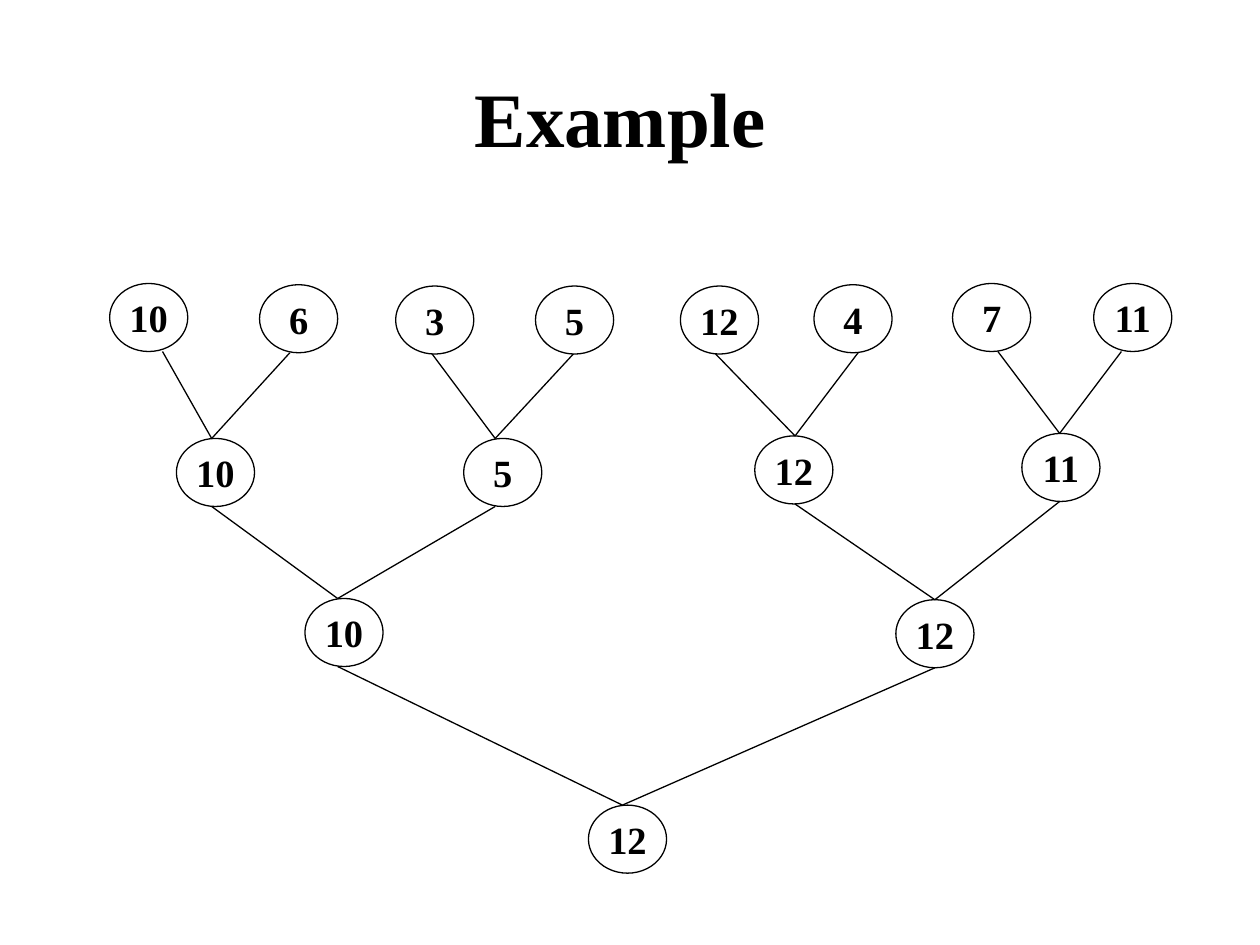
from lxml import etree
from pptx import Presentation
from pptx import util as u
from pptx.dml.color import RGBColor
from pptx.enum import shapes, text
from pptx.oxml.ns import qn

COLORS = {"ink": "000000", "paper": "FFFFFF"}
INK, PAPER = (RGBColor.from_string(COLORS[name]) for name in ("ink", "paper"))

deck = Presentation()
deck.slide_width, deck.slide_height = u.Inches(10), u.Inches(7.5)
CELL = deck.slide_width // 100  # square grid, 100 columns by 75 rows
NODE_W, NODE_H = 6.2, 5.4
slide = deck.slides.add_slide(deck.slide_layouts[6])

# Each round of the tournament: (value, left column, top row, column where edges meet)
rounds = [
    [(10, 8.7, 22.5, 12.9), (6, 20.6, 22.6, 23), (3, 31.4, 22.7, 34.3), (5, 42.5, 22.7, 45.5),
     (12, 54, 22.7, 56.8), (4, 64.6, 22.6, 68.1), (7, 75.6, 22.5, 79.2), (11, 86.8, 22.5, 89)],
    [(10, 14, 34.8, 16.8), (5, 36.8, 34.8, 39.3), (12, 59.9, 34.6, 63.1), (11, 81.1, 34.4, 84.1)],
    [(10, 24.2, 47.5, 26.8), (12, 71.1, 47.6, 74.2)],
    [(12, 46.7, 63.9, 49.4)],
]


def grid(*cells):
    return [round(cell * CELL) for cell in cells]


def write(frame, words, size):
    """Set one centred bold line in the middle of a text frame."""
    frame.vertical_anchor = text.MSO_ANCHOR.MIDDLE
    line = frame.paragraphs[0]
    line.text = words
    line.alignment = text.PP_ALIGN.CENTER
    line.font.name, line.font.size, line.font.bold = "Times New Roman", u.Pt(size), True
    line.font.color.rgb = INK


title = slide.shapes.add_textbox(*grid(5, 3, 90, 12.5)).text_frame
title.word_wrap = True
write(title, "Example ", 44)

for entries in rounds:
    for value, left, top, _ in entries:
        node = slide.shapes.add_shape(shapes.MSO_SHAPE.OVAL, *grid(left, top, NODE_W, NODE_H))
        node.shadow.inherit = False
        node.fill.solid()
        node.fill.fore_color.rgb = PAPER
        node.line.color.rgb, node.line.width = INK, u.Pt(0.75)
        label = node.text_frame
        label.word_wrap = False
        label.margin_left = label.margin_right = label.margin_top = label.margin_bottom = 0
        write(label, str(value), 22)

for entries, winners in zip(rounds, rounds[1:]):
    for index, (_, _, top, start) in enumerate(entries):
        _, _, winner_top, end = winners[index // 2]
        edge = slide.shapes.add_connector(
            shapes.MSO_CONNECTOR.STRAIGHT, *grid(start, top + NODE_H, end, winner_top))
        edge.line.color.rgb, edge.line.width = INK, u.Pt(0.75)
        etree.SubElement(edge._element.spPr, qn("a:effectLst"))

deck.save("out.pptx")
